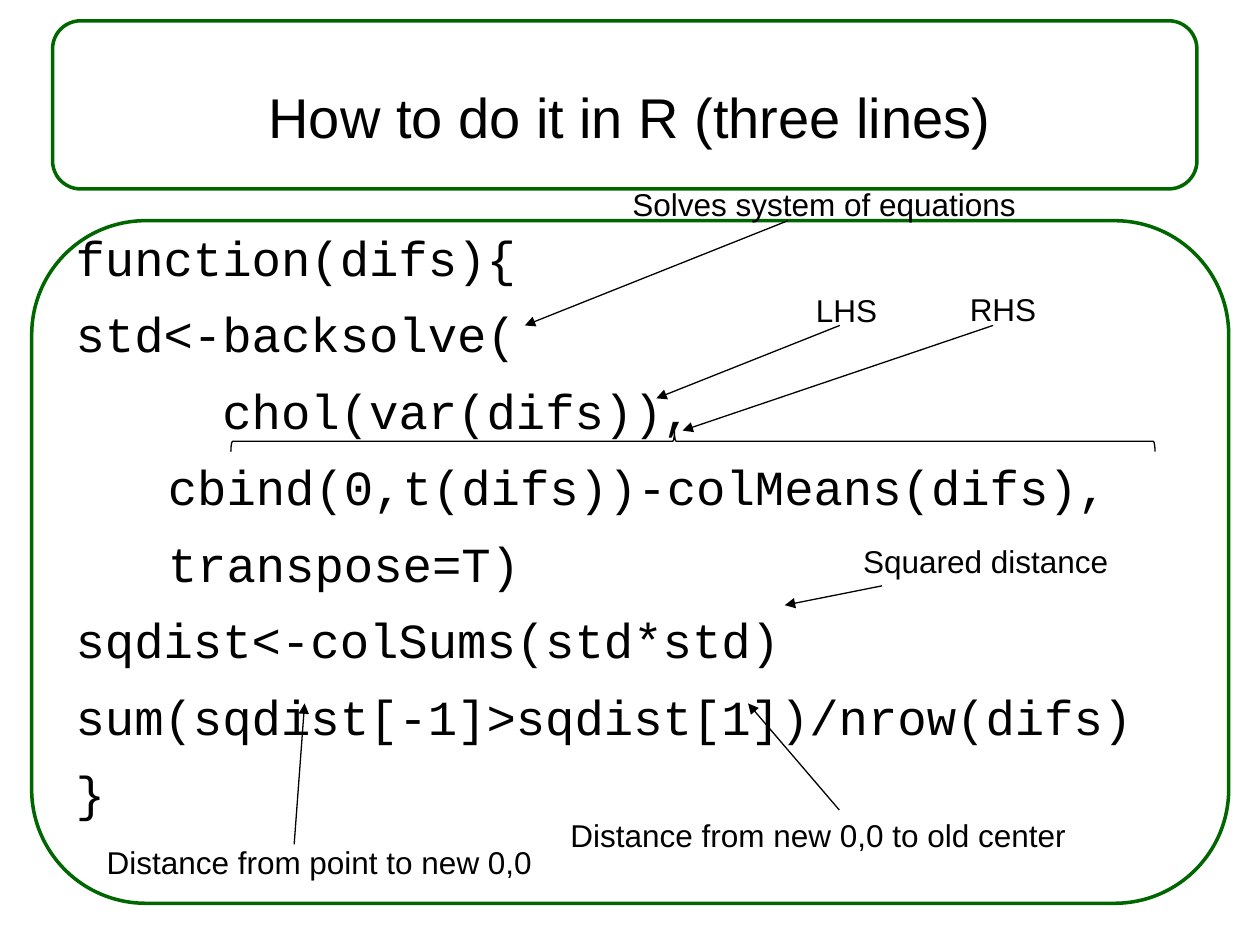
from lxml import etree
from pptx import Presentation
from pptx import util as u
from pptx.dml import color
from pptx.enum import shapes, text
from pptx.oxml import ns

# Content
TITLE = "How to do it in R (three lines)"
CODE = [  # text, indent in cm
    ("function(difs){", 0),
    ("std<-backsolve(", 0),
    ("chol(var(difs)),", 2.96),
    ("cbind(0,t(difs))-colMeans(difs),", 1.86),
    ("transpose=T)", 1.86),
    ("sqdist<-colSums(std*std)", 0),
    ("sum(sqdist[-1]>sqdist[1])/nrow(difs)", 0),
    ("}", 0),
]
# Lengths in cm
FRAMES = [(0.64, 4.45, 24.13, 13.76), (1.06, 0.42, 23.07, 3.39)]
TITLE_BOX = (1.27, 0.76, 22.86, 3.18)
CODE_BOX = (1.27, 4.45, 22.86, 11.3)
BRACE = (13.76, -0.42, 0.42, 18.63)
LABELS = [  # text, left, top, width
    ("Solves system of equations", 12.5, 3.61, 8.97),
    ("LHS", 16.2, 5.74, 1.8),
    ("RHS", 19.3, 5.72, 1.85),
    ("Squared distance", 17.15, 10.8, 5.87),
    ("Distance from new 0,0 to old center", 11.25, 16.33, 11.3),
    ("Distance from point to new 0,0", 1.9, 16.87, 9.8),
]
ARROWS = [  # from x, y, to x, y
    (15.88, 4.45, 10.58, 6.56),
    (16.93, 6.56, 13.23, 8.03),
    (20.02, 6.56, 13.76, 8.68),
    (17.78, 11.81, 15.82, 12.2),
    (5.93, 17.02, 6.14, 14.18),
    (16.92, 16.33, 15.08, 14.18),
]
COLORS = {"frame": "006600", "ink": "000000", "paper": "FFFFFF"}
FONTS = {
    "title": {"name": "Arial", "size": u.Pt(32)},
    "code": {"name": "Courier New", "size": u.Pt(28)},
    "label": {"name": "Arial", "size": u.Pt(18)},
}


def rgb(key):
    return color.RGBColor.from_string(COLORS[key])


def cm(values):
    return [u.Cm(v) for v in values]


def place(sp, box):
    for name, value in zip(("left", "top", "width", "height"), cm(box)):
        setattr(sp, name, value)


def write(p, words, style):
    r = p.add_run()
    r.text = words
    for name, value in FONTS[style].items():
        setattr(r.font, name, value)
    r.font.color.rgb = rgb("ink")


def outline(sp, key, width):
    sp.line.color.rgb = rgb(key)
    sp.line.width = u.Pt(width)


prs = Presentation()
prs.slide_width, prs.slide_height = cm((25.4, 19.05))
s = prs.slides.add_slide(prs.slide_layouts[1])
title, body = s.placeholders

# Frames, behind the text
for i, box in enumerate(FRAMES):
    sp = s.shapes.add_shape(shapes.MSO_SHAPE.ROUNDED_RECTANGLE, *cm(box))
    sp.adjustments[0] = 0.167
    sp.shadow.inherit = False
    sp.fill.background()
    outline(sp, "frame", 2)
    s.shapes._spTree.insert(2 + i, sp._element)

# Title
place(title, TITLE_BOX)
tf = title.text_frame
tf.auto_size = text.MSO_AUTO_SIZE.NONE
tf.vertical_anchor = text.MSO_ANCHOR.MIDDLE
tf.paragraphs[0].alignment = text.PP_ALIGN.CENTER
write(tf.paragraphs[0], TITLE, "title")

# Code
place(body, CODE_BOX)
tf = body.text_frame
tf.auto_size = text.MSO_AUTO_SIZE.NONE
for i, (words, indent) in enumerate(CODE):
    p = tf.add_paragraph() if i else tf.paragraphs[0]
    p.space_before = u.Pt(10.1 if i else 8)
    pPr = p._p.get_or_add_pPr()
    pPr.set("marL", str(u.Cm(indent)))
    pPr.set("indent", "0")
    etree.SubElement(pPr, ns.qn("a:buNone"))
    write(p, words, "code")

# Brace over the right-hand side
sp = s.shapes.add_shape(shapes.MSO_SHAPE.RIGHT_BRACE, *cm(BRACE))
sp.rotation = 270
sp.adjustments[0], sp.adjustments[1] = 0.08, 0.48
sp.shadow.inherit = False
sp.fill.solid()
sp.fill.fore_color.rgb = rgb("paper")
outline(sp, "ink", 0.75)

# Labels
for words, left, top, width in LABELS:
    tf = s.shapes.add_textbox(*cm((left, top, width, 1.02))).text_frame
    tf.word_wrap = False
    tf.auto_size = text.MSO_AUTO_SIZE.SHAPE_TO_FIT_TEXT
    write(tf.paragraphs[0], words, "label")

# Arrows
for ends in ARROWS:
    line = s.shapes.add_connector(shapes.MSO_CONNECTOR.STRAIGHT, *cm(ends))
    outline(line, "ink", 0.75)
    etree.SubElement(line.line._get_or_add_ln(), ns.qn("a:tailEnd"), type="triangle")
    etree.SubElement(line._element.spPr, ns.qn("a:effectLst"))

prs.save("out.pptx")
